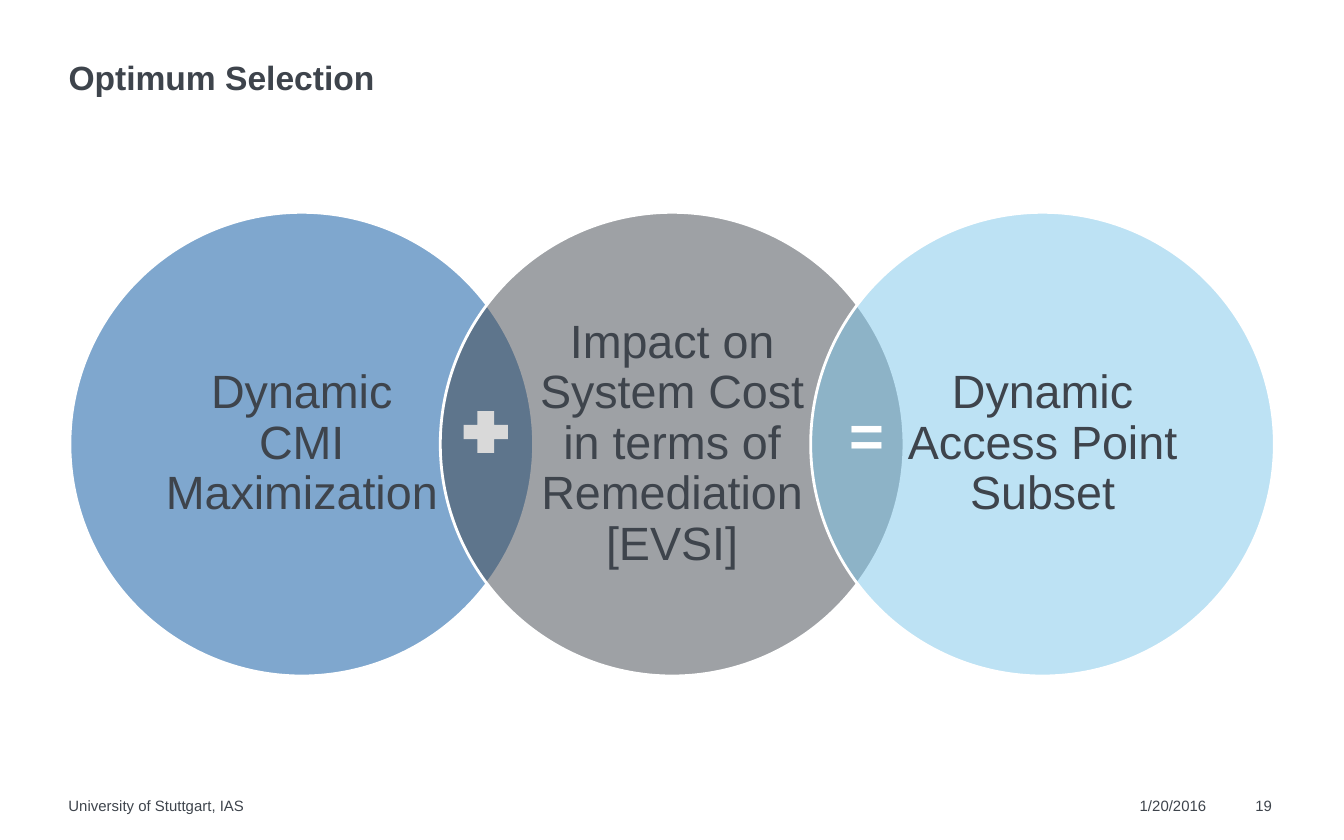
from typing import NamedTuple

from lxml.etree import SubElement
from pptx import Presentation
from pptx.dml.color import RGBColor as Rgb
from pptx.enum.shapes import MSO_SHAPE as Kind
from pptx.enum.text import MSO_ANCHOR as Anchor, MSO_AUTO_SIZE as Auto, PP_ALIGN as Align
from pptx.oxml.ns import qn
from pptx.util import Inches, Pt

COLS, ROWS = 100, 62.5
WIDE, HIGH = Inches(10), Inches(6.25)
FONT = "Arial"
HUES = {
    "blue": "00519E",
    "slate": "3E444C",
    "sky": "7DC6EA",
    "pale": "D9D9D9",
    "white": "FFFFFF",
}


class Box(NamedTuple):
    col: float
    row: float
    cols: float
    rows: float

    def place(self) -> tuple[int, int, int, int]:
        return (
            round(self.col * WIDE / COLS),
            round(self.row * HIGH / ROWS),
            round(self.cols * WIDE / COLS),
            round(self.rows * HIGH / ROWS),
        )


class Style(NamedTuple):
    size: float
    hue: str = "slate"
    bold: bool = False
    align: Align = Align.LEFT
    anchor: Anchor = Anchor.TOP
    lead: float = 1.0
    pad: tuple[float, float] = (0, 0)
    wrap: bool = True


class Disc(NamedTuple):
    hue: str
    lines: tuple[str, ...]


class Label(NamedTuple):
    box: Box
    text: str
    style: Style


SMALL = Style(8)
HEAD = Style(18, bold=True, anchor=Anchor.BOTTOM, lead=0.9)
CORE = Style(25, align=Align.CENTER, anchor=Anchor.MIDDLE, lead=0.9, pad=(0.19, 0.03))
SIGN = Style(32, hue="white", bold=True, wrap=False)

LEFT, TOP, SPAN, STEP, INSET = 5.2, 15.8, 34.5, 27.56, 5.05
DISCS = [
    Disc("blue", ("Dynamic CMI Maximization",)),
    Disc("slate", ("Impact on System Cost in terms of Remediation", "[EVSI]")),
    Disc("sky", ("Dynamic Access Point Subset",)),
]
PLUS = Box(34.5, 30.6, 3.3, 3.1)
LABELS = [
    Label(Box(84.8, 59.3, 5.8, 1.4), "1/20/2016", SMALL),
    Label(Box(5.1, 59.3, 66.3, 1.4), "University of Stuttgart, IAS", SMALL),
    Label(Box(93.4, 59.3, 2.4, 1.4), "19", SMALL),
    Label(Box(63.2, 29.6, 2.4, 4.1), "=", SIGN),
]


def tint(hue: str) -> Rgb:
    return Rgb.from_string(HUES[hue])


def write(frame, lines: tuple[str, ...], style: Style) -> None:
    frame.auto_size = Auto.NONE
    frame.word_wrap = style.wrap
    frame.vertical_anchor = style.anchor
    side, edge = map(Inches, style.pad)
    frame.margin_left = frame.margin_right = side
    frame.margin_top = frame.margin_bottom = edge
    para = frame.paragraphs[0]
    para.alignment = style.align
    para.line_spacing = style.lead
    for rank, line in enumerate(lines):
        if rank:
            para.add_line_break()
        run = para.add_run()
        run.text = line
        font = run.font
        font.name, font.size, font.bold = FONT, Pt(style.size), style.bold
        font.color.rgb = tint(style.hue)


def add_text(slide, box: Box, lines: tuple[str, ...], style: Style) -> None:
    write(slide.shapes.add_textbox(*box.place()).text_frame, lines, style)


def add_form(slide, kind: Kind, box: Box, hue: str):
    form = slide.shapes.add_shape(kind, *box.place())
    form.shadow.inherit = False
    form.fill.solid()
    form.fill.fore_color.rgb = tint(hue)
    form.line.fill.background()
    return form


def add_disc(slide, rank: int, disc: Disc) -> None:
    col = LEFT + rank * STEP
    form = add_form(slide, Kind.OVAL, Box(col, TOP, SPAN, SPAN), disc.hue)
    form.line.color.rgb = tint("white")
    form.line.width = Pt(1.5)
    shade = form.fill._xPr.find(qn("a:solidFill"))[0]
    SubElement(shade, qn("a:alpha")).set("val", "50000")
    inner = SPAN - 2 * INSET
    add_text(slide, Box(col + INSET, TOP + INSET, inner, inner), disc.lines, CORE)


def main() -> None:
    deck = Presentation()
    deck.slide_width, deck.slide_height = WIDE, HIGH
    slide = deck.slides.add_slide(deck.slide_layouts[5])

    title = slide.shapes.title
    title.left, title.top, title.width, title.height = Box(5.1, 4.3, 89.8, 3).place()
    write(title.text_frame, ("Optimum Selection",), HEAD)

    for rank, disc in enumerate(DISCS):
        add_disc(slide, rank, disc)
    plus = add_form(slide, Kind.CROSS, PLUS, "pale")
    plus.adjustments[0] = 0.33
    for label in LABELS:
        add_text(slide, label.box, (label.text,), label.style)

    deck.save("out.pptx")


if __name__ == "__main__":
    main()
